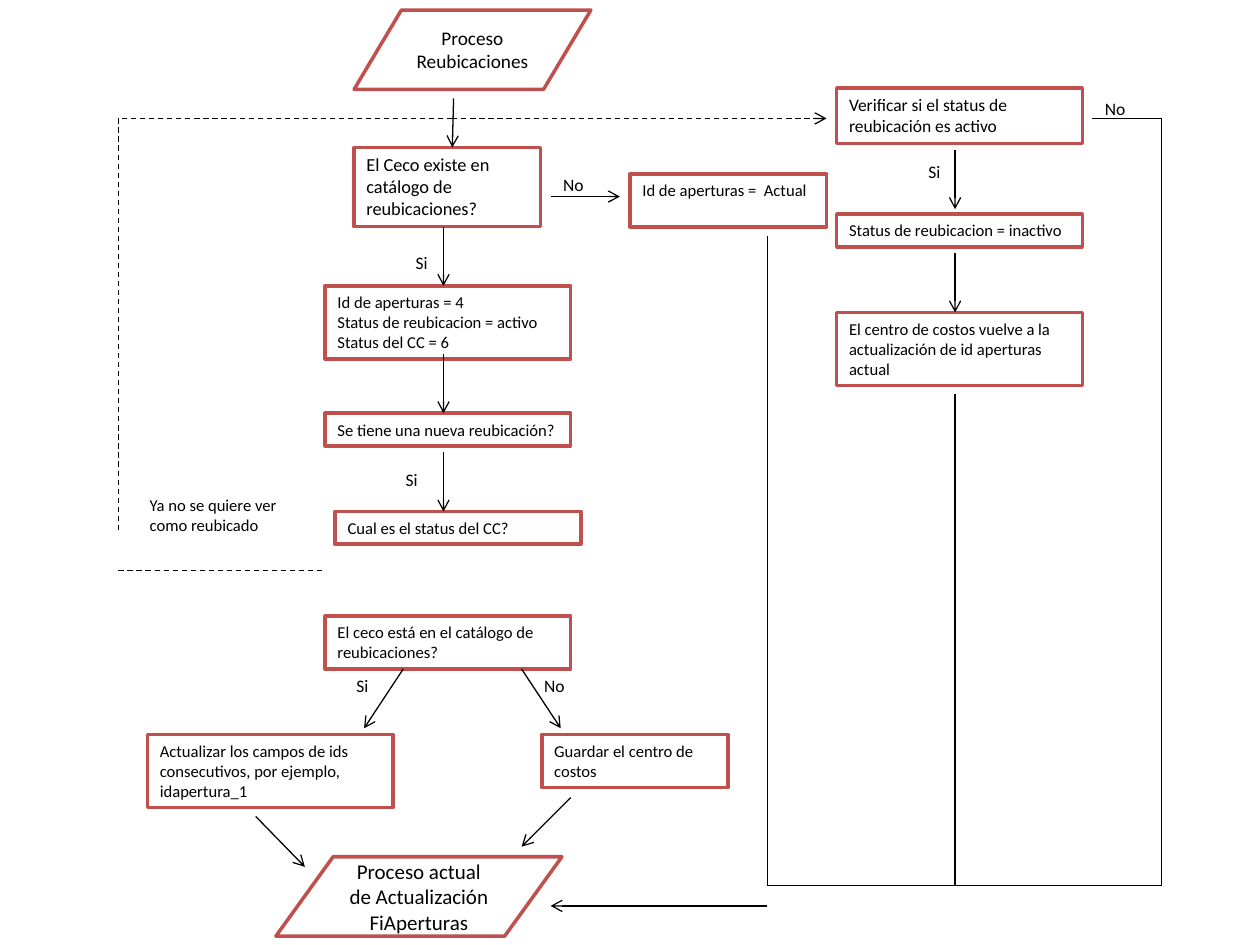
from lxml import etree
from pptx import Presentation
from pptx.dml.color import RGBColor as Rgb
from pptx.enum import dml, shapes, text
from pptx.oxml import ns
from pptx.util import Emu, Pt

PX = 9144  # 100 px to the inch
THEME = {
    "font": "Calibri", "ink": Rgb(0, 0, 0), "paper": Rgb(255, 255, 255),
    "edge": Rgb(0xC0, 0x50, 0x4D), "rim": Pt(2), "wire": Pt(0.75),
    "small": 9.5, "label": 10, "ask": 10.5, "start": 11, "end": 12,
}


def write(shape, words, size="small", align=text.PP_ALIGN.LEFT,
          anchor=text.MSO_ANCHOR.TOP, fit=text.MSO_AUTO_SIZE.SHAPE_TO_FIT_TEXT):
    frame = shape.text_frame
    frame.word_wrap = True
    frame.auto_size = fit
    frame.vertical_anchor = anchor
    frame.text = words
    for para in frame.paragraphs:
        para.alignment = align
        para.font.name = THEME["font"]
        para.font.size = Pt(THEME[size])
        para.font.color.rgb = THEME["ink"]


def px(*nums):
    return [Emu(n * PX) for n in nums]


deck = Presentation()
deck.slide_width, deck.slide_height = px(1000, 750)
slide = deck.slides.add_slide(deck.slide_layouts[6])
items = slide.shapes

# Terminals and steps: place, words, type size
ends = [
    ((281, 8, 188, 63), "Proceso Reubicaciones", "start"),
    ((219, 680, 227, 63), "Proceso actual de Actualización FiAperturas", "end"),
]
steps = [
    ((281, 117, 148, 63), "El Ceco existe en catálogo de reubicaciones?", "ask"),
    ((664, 70, 195, 44), "Verificar si el status de reubicación es activo", "label"),
    ((258, 489, 195, 42), "El ceco está en el catálogo de reubicaciones?", "small"),
    ((117, 583, 195, 58), "Actualizar los campos de ids consecutivos, por ejemplo, "
     "idapertura_1", "small"),
    ((430, 583, 148, 42), "Guardar el centro de costos", "small"),
    ((258, 227, 195, 58), "Id de aperturas = 4\nStatus de reubicacion = activo\n"
     "Status del CC = 6", "small"),
    ((500, 138, 156, 42), "Id de aperturas =  Actual", "small"),
    ((664, 170, 195, 26), "Status de reubicacion = inactivo", "small"),
    ((664, 248, 195, 58), "El centro de costos vuelve a la actualización de id "
     "aperturas actual", "small"),
    ((258, 328, 195, 26), "Se tiene una nueva reubicación?", "small"),
    ((266, 406, 195, 26), "Cual es el status del CC?", "small"),
]
kinds = shapes.MSO_SHAPE
for kind, group in ((kinds.FLOWCHART_DATA, ends), (kinds.RECTANGLE, steps)):
    for place, words, size in group:
        box = items.add_shape(kind, *px(*place))
        box.shadow.inherit = False
        box.fill.solid()
        box.fill.fore_color.rgb = THEME["paper"]
        box.line.color.rgb = THEME["edge"]
        box.line.width = THEME["rim"]
        if kind == kinds.RECTANGLE:
            write(box, words, size)
        else:
            write(box, words, size, align=text.PP_ALIGN.CENTER,
                  anchor=text.MSO_ANCHOR.MIDDLE, fit=text.MSO_AUTO_SIZE.NONE)

# Wires: from x, y to x, y
arrows = [
    (360, 78, 359, 117), (437, 156, 492, 156), (609, 719, 437, 719),
    (320, 531, 289, 578), (414, 531, 445, 578),
    (203, 648, 242, 688), (453, 633, 414, 672),
]
drops = [(352, 180), (352, 281), (352, 359), (758, 119), (758, 201)]
arrows += [(x, y, x, y + 47) for x, y in drops]
plain = [
    (609, 187, 609, 703), (758, 313, 758, 703), (922, 94, 922, 703),
    (867, 94, 922, 94), (609, 703, 742, 703), (742, 703, 922, 703),
]
dashed = [(359, 94, 94, 94), (94, 94, 94, 422), (94, 453, 258, 453)]
dasharrow = [(359, 94, 656, 94)]

for group, dash, head in ((arrows, False, True), (plain, False, False),
                          (dashed, True, False), (dasharrow, True, True)):
    for points in group:
        wire = items.add_connector(shapes.MSO_CONNECTOR.STRAIGHT, *px(*points))
        wire.line.color.rgb = THEME["ink"]
        wire.line.width = THEME["wire"]
        if dash:
            wire.line.dash_style = dml.MSO_LINE.DASH
        if head:
            etree.SubElement(wire.line._get_or_add_ln(), ns.qn("a:tailEnd"),
                             type="arrow")
        etree.SubElement(wire._element.spPr, ns.qn("a:effectLst"))

# Branch labels and side note
labels = [
    (273, 531, "Si"), (422, 531, "No"), (320, 195, "Si"), (437, 133, "No"),
    (727, 123, "Si"), (867, 73, "No"), (312, 367, "Si"),
]
for x, y, words in labels:
    write(items.add_textbox(*px(x, y, 39, 27)), words, "label")
write(items.add_textbox(*px(109, 388, 133, 42)), "Ya no se quiere ver como reubicado")

deck.save("out.pptx")
